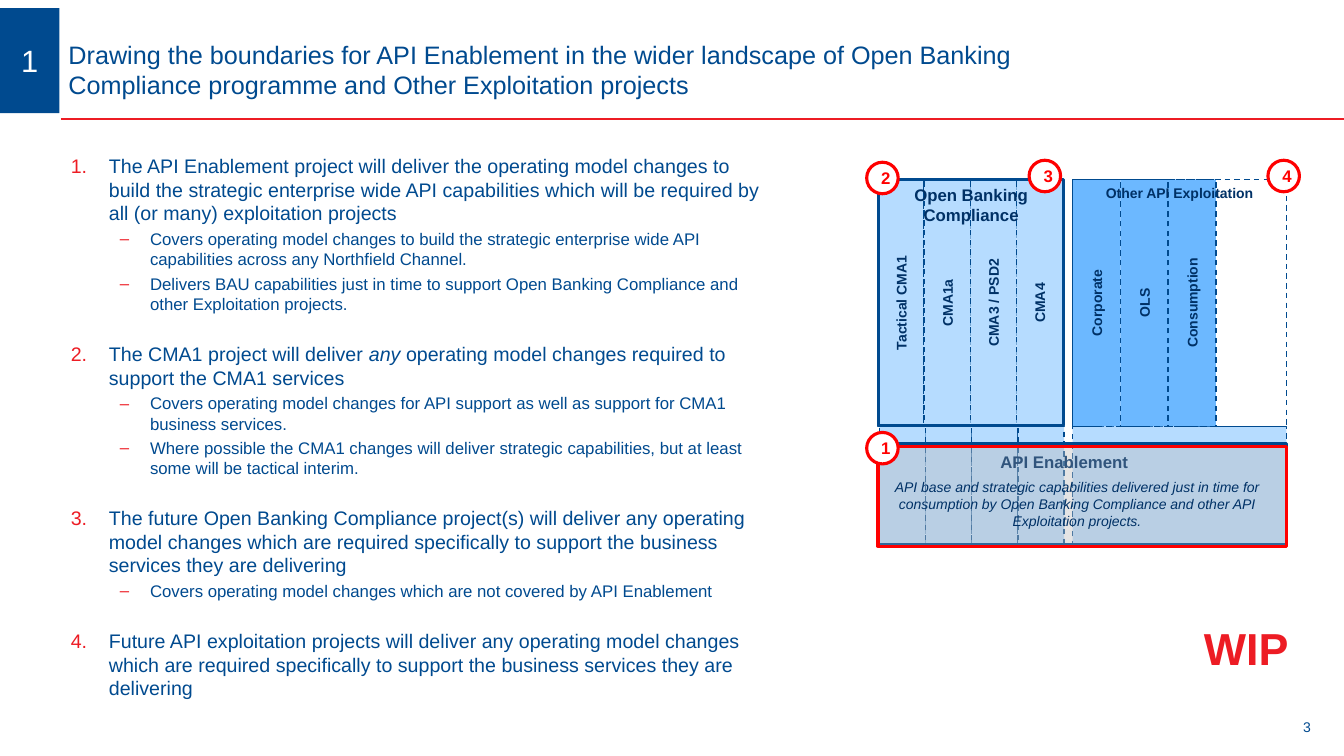
import pptx
import pptx.util
import pptx.dml.color
import pptx.enum.dml
import pptx.enum.shapes
import pptx.enum.text
import lxml.etree
from pptx.oxml.ns import qn

Pt = pptx.util.Pt
SHAPE = pptx.enum.shapes.MSO_SHAPE
ALIGN = pptx.enum.text.PP_ALIGN
ANCHOR = pptx.enum.text.MSO_ANCHOR

BLUE, NAVY, RED, BADGE_RED = "004A8F", "003166", "ED1C24", "FF0000"
PALE, SKY, GREY, WHITE = "B6DCFF", "6CB8FF", "BFBFBF", "FFFFFF"

# Each point: heading runs as (text, italic), then its details
POINTS = [
    ([("The API Enablement project will deliver the operating model changes to build the strategic "
       "enterprise wide API capabilities which will be required by all (or many) exploitation projects", False)],
     ["Covers operating model changes to build the strategic enterprise wide API capabilities "
      "across any Northfield Channel.",
      "Delivers BAU capabilities just in time to support Open Banking Compliance and other "
      "Exploitation projects."]),
    ([("The CMA1 project will deliver ", False), ("any", True),
      (" operating model changes required to support the CMA1 services", False)],
     ["Covers operating model changes for API support as well as support for CMA1 business services.",
      "Where possible the CMA1 changes will deliver strategic capabilities, but at least some will "
      "be tactical interim."]),
    ([("The future Open Banking Compliance project(s) will deliver any operating model changes which are "
       "required specifically to support the business services they are delivering", False)],
     ["Covers operating model changes which are not covered by API Enablement"]),
    ([("Future API exploitation projects will deliver any operating model changes which are required "
       "specifically to support the business services they are delivering", False)], []),
]


def rgb(value):
    return pptx.dml.color.RGBColor.from_string(value)


def add_run(paragraph, text, size=12, color=NAVY, bold=False, italic=False):
    run = paragraph.add_run()
    run.text = text
    font = run.font
    font.name, font.size, font.bold, font.italic = "Arial", Pt(size), bold, italic
    font.color.rgb = rgb(color)


def write(holder, text, align=ALIGN.CENTER, anchor=ANCHOR.TOP, vertical=False,
          margins=(7.2, 3.6, 7.2, 3.6), **style):
    frame = holder.text_frame
    frame.word_wrap = True
    frame.vertical_anchor = anchor
    frame.margin_left, frame.margin_top, frame.margin_right, frame.margin_bottom = map(Pt, margins)
    if vertical:
        frame._txBody.bodyPr.set("vert", "vert270")
    frame.paragraphs[0].alignment = align
    add_run(frame.paragraphs[0], text, **style)


def add_label(slide, box, text, **style):
    write(slide.shapes.add_textbox(*map(Pt, box)), text, **style)


def add_block(slide, box, fill=None, line=None, width=1.0, dashed=False, opacity=None, kind=SHAPE.RECTANGLE):
    block = slide.shapes.add_shape(kind, *map(Pt, box))
    block.shadow.inherit = False
    if fill:
        block.fill.solid()
        block.fill.fore_color.rgb = rgb(fill)
        if opacity:
            color = block.fill._xPr.find(".//" + qn("a:srgbClr"))
            lxml.etree.SubElement(color, qn("a:alpha")).set("val", str(opacity * 1000))
    else:
        block.fill.background()
    if line:
        block.line.color.rgb = rgb(line)
        block.line.width = Pt(width)
        if dashed:
            block.line.dash_style = pptx.enum.dml.MSO_LINE.DASH
    else:
        block.line.fill.background()
    return block


def add_bullet(paragraph, indent, hanging, tag, **mark):
    props = paragraph._p.get_or_add_pPr()
    props.set("marL", str(Pt(indent)))
    props.set("indent", str(-Pt(hanging)))
    color = lxml.etree.SubElement(props, qn("a:buClr"))
    lxml.etree.SubElement(color, qn("a:srgbClr")).set("val", RED)
    lxml.etree.SubElement(props, qn("a:buFont")).set("typeface", "Arial")
    bullet = lxml.etree.SubElement(props, qn(tag))
    for key, value in mark.items():
        bullet.set(key, value)


def add_header(slide, left, top, width, height):
    # Section number, title and rule
    section = add_block(slide, (left, top, 42.5, height), fill=BLUE)
    write(section, "1", anchor=ANCHOR.MIDDLE, size=22, color=WHITE)
    add_label(slide, (left + 40.3, top + 9.3, 749, 69),
              "Drawing the boundaries for API Enablement in the wider landscape of Open Banking "
              "Compliance programme and Other Exploitation projects",
              align=ALIGN.LEFT, anchor=ANCHOR.MIDDLE, margins=(8.6, 3.6, 8.6, 3.6), size=18, color=BLUE)
    rule_y = Pt(top + height + 4.2)
    rule = slide.shapes.add_connector(pptx.enum.shapes.MSO_CONNECTOR.STRAIGHT,
                                      Pt(left + 43.5), rule_y, Pt(left + width), rule_y)
    rule.line.color.rgb = rgb(RED)
    rule.line.width = Pt(2)
    lxml.etree.SubElement(rule._element.spPr, qn("a:effectLst"))


def add_points(slide, *box):
    frame = slide.shapes.add_textbox(*map(Pt, box)).text_frame
    frame.word_wrap = True
    for index, (heading, details) in enumerate(POINTS):
        paragraph = frame.add_paragraph() if index else frame.paragraphs[0]
        paragraph.space_before = Pt(20 if index else 0)
        add_bullet(paragraph, 27.2, 27.2, "a:buAutoNum", type="arabicPeriod")
        for text, italic in heading:
            add_run(paragraph, text, size=14, color=BLUE, italic=italic)
        for detail in details:
            paragraph = frame.add_paragraph()
            paragraph.level = 1
            paragraph.space_before = Pt(3)
            add_bullet(paragraph, 56.6, 21.6, "a:buChar", char="–")
            add_run(paragraph, detail, size=12, color=BLUE)


def add_columns(slide, left, top, pitch, height, names, fill):
    for index, name in enumerate(names):
        column = add_block(slide, (left + index * pitch, top, pitch, height), fill, BLUE, dashed=True)
        if name:
            write(column, name, anchor=ANCHOR.MIDDLE, vertical=True, size=10, bold=True)


def add_landscape(slide, left, top, width, height):
    tower = 176.3
    base_top, base_height = top + tower, height - tower
    compliance, exploitation = 132, 152.6
    right = left + width - exploitation

    # Foundations beneath both programmes
    add_block(slide, (right, base_top, exploitation, base_height), PALE, BLUE, dashed=True)
    add_columns(slide, left + 1, base_top, compliance / 4, base_height, [""] * 4, PALE)

    # Open Banking Compliance
    add_columns(slide, left, top, compliance / 4, tower,
                ["Tactical CMA1", "CMA1a", "CMA3 / PSD2", "CMA4"], PALE)
    outline = add_block(slide, (left + 0.6, top, compliance, tower - 0.6), line=BLUE, width=2.25)
    write(outline, "Open Banking Compliance", bold=True)

    # Other API Exploitation
    add_columns(slide, right, top, 34.1, tower, ["Corporate", "OLS", "Consumption"], SKY)
    add_label(slide, (right, top + 0.4, exploitation, 19.4), "Other API Exploitation", size=10, bold=True)
    add_block(slide, (right, top, exploitation, tower), line=BLUE, dashed=True)

    # API Enablement
    add_block(slide, (left, base_top + 12.4, width, 72), GREY, BLUE, 2.25, opacity=21)
    add_label(slide, (left - 31, base_top + 14.4, 328.3, 21.6), "API Enablement", bold=True)
    add_block(slide, (left, base_top + 14.4, width, 71.3), GREY, BADGE_RED, 2.25, opacity=26)
    add_label(slide, (left - 11.5, base_top + 33.8, 307.4, 41.8),
              "API base and strategic capabilities delivered just in time for consumption by "
              "Open Banking Compliance and other API Exploitation projects.", size=10, italic=True)

    # Numbered badges
    badges = [("1", -8, 180.7), ("2", -8, -12.3), ("3", 108, -13.7), ("4", 278.6, -13.7)]
    for number, across, down in badges:
        badge = add_block(slide, (left + across, top + down, 22.5, 22.5), WHITE, "FE0000", 2.25,
                          kind=SHAPE.OVAL)
        write(badge, number, anchor=ANCHOR.MIDDLE, margins=(5, 0, 0, 0), color=BADGE_RED, bold=True)


def add_footer(slide, left, top, width, height):
    add_label(slide, (left, top, 85.7, 46), "WIP", size=32, color=RED, bold=True)
    add_label(slide, (left + width - 38.2, top + height - 41, 38.2, 41), "3",
              anchor=ANCHOR.MIDDLE, size=10, color=BLUE)


def main():
    deck = pptx.Presentation()
    deck.slide_width, deck.slide_height = Pt(960), Pt(540)
    slide = deck.slides.add_slide(deck.slide_layouts[6])
    add_header(slide, 0, 5.8, 960, 75)
    add_points(slide, 43.5, 106.6, 512, 401.8)
    add_landscape(slide, 627.1, 128.2, 291.7, 262)
    add_footer(slide, 847.4, 440, 105.2, 100)
    deck.save("out.pptx")


if __name__ == "__main__":
    main()
